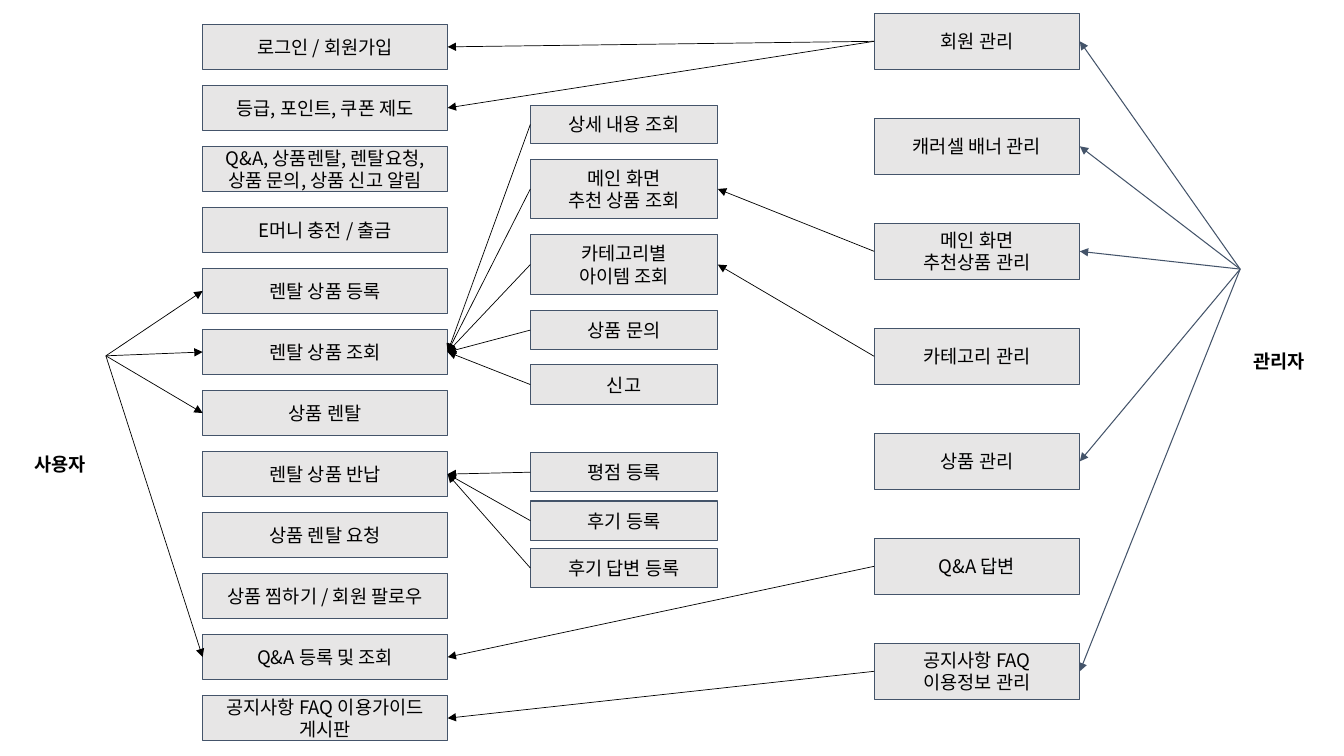
from dataclasses import dataclass

from lxml import etree
from pptx import Presentation
from pptx.dml.color import RGBColor
from pptx.enum.shapes import MSO_CONNECTOR, MSO_SHAPE
from pptx.enum.text import MSO_ANCHOR, PP_ALIGN
from pptx.oxml.ns import qn
from pptx.util import Inches, Pt

RECT = MSO_SHAPE.RECTANGLE
LINE = MSO_CONNECTOR.STRAIGHT
TOP, MIDDLE = MSO_ANCHOR.TOP, MSO_ANCHOR.MIDDLE
LEFT, CENTER = PP_ALIGN.LEFT, PP_ALIGN.CENTER
WEST, EAST = 1, 3  # connection sites of a rectangle


@dataclass
class Theme:
    font: str = "Noto Sans CJK KR"
    size: float = 13.3
    ink: RGBColor = RGBColor(0, 0, 0)
    navy: RGBColor = RGBColor(0x44, 0x54, 0x6A)
    gray: RGBColor = RGBColor(0xE7, 0xE6, 0xE6)
    thin: float = 0.5
    edge: float = 0.75


theme = Theme()


def write(shape, text, align=CENTER, anchor=MIDDLE, bold=False):
    frame = shape.text_frame
    pad = Inches(0.13)
    look = dict(word_wrap=True, vertical_anchor=anchor, margin_left=pad,
                margin_right=pad, margin_top=pad, margin_bottom=pad)
    for key, value in look.items():
        setattr(frame, key, value)
    frame.text = text
    for para in frame.paragraphs:
        para.alignment = align
        for run in para.runs:
            font = run.font
            for key, value in dict(name=theme.font, size=Pt(theme.size), bold=bold).items():
                setattr(font, key, value)
            font.color.rgb = theme.ink
            # Hangul takes its typeface from the East Asian slot
            east = etree.SubElement(run._r.get_or_add_rPr(), qn("a:ea"))
            east.set("typeface", theme.font)


def arrow(start, box, site, color, width):
    """Point an arrow at a box side, from an (x, y) spot or a box's left side."""
    line = slide.shapes.add_connector(LINE, 0, 0, 0, 0)
    if isinstance(start, tuple):
        line.begin_x, line.begin_y = Inches(start[0]), Inches(start[1])
    else:
        line.begin_connect(start, WEST)
    line.end_connect(box, site)
    line.line.color.rgb = color
    line.line.width = Pt(width)
    etree.SubElement(line.line._get_or_add_ln(), qn("a:tailEnd")).set("type", "triangle")
    etree.SubElement(line._element.spPr, qn("a:effectLst"))


deck = Presentation()
deck.slide_width, deck.slide_height = Inches(13.33), Inches(7.5)
slide = deck.slides.add_slide(deck.slide_layouts[6])

# Actor names
for text, x, y, w, h, align in [
    ("사용자", 0.21, 4.38, 0.9, 0.44, LEFT),
    ("관리자", 11.96, 3.36, 1.46, 0.36, CENTER),
]:
    area = slide.shapes.add_textbox(Inches(x), Inches(y), Inches(w), Inches(h))
    write(area, text, align, TOP, True)

# Box columns: left, width, then (text, top, height) rows
user = [
    "로그인 / 회원가입", "등급, 포인트, 쿠폰 제도",
    "Q&A, 상품렌탈, 렌탈요청, 상품 문의, 상품 신고 알림",
    "E머니 충전 / 출금", "렌탈 상품 등록", "렌탈 상품 조회", "상품 렌탈",
    "렌탈 상품 반납", "상품 렌탈 요청", "상품 찜하기 / 회원 팔로우",
    "Q&A 등록 및 조회", "공지사항 FAQ 이용가이드 게시판",
]
admin = [
    "회원 관리", "캐러셀 배너 관리", "메인 화면\n추천상품 관리", "카테고리 관리",
    "상품 관리", "Q&A 답변", "공지사항 FAQ 이용정보 관리",
]
detail = [
    ("상세 내용 조회", 1.05, 0.37), ("메인 화면\n추천 상품 조회", 1.58, 0.59),
    ("카테고리별\n아이템 조회", 2.33, 0.59), ("상품 문의", 3.08, 0.39),
    ("신고", 3.62, 0.39), ("평점 등록", 4.49, 0.39),
    ("후기 등록", 4.97, 0.39), ("후기 답변 등록", 5.44, 0.39),
]
columns = {
    "user": (2.01, 2.43, [(t, 0.24 + i * 6.66 / 11, 0.45) for i, t in enumerate(user)]),
    "detail": (5.26, 1.86, detail),
    "admin": (8.67, 2.04, [(t, 0.13 + i * 6.25 / 6, 0.56) for i, t in enumerate(admin)]),
}
boxes = {}
for name, (x, w, rows) in columns.items():
    boxes[name] = []
    for text, y, h in rows:
        box = slide.shapes.add_shape(RECT, Inches(x), Inches(y), Inches(w), Inches(h))
        box.shadow.inherit = False
        box.fill.solid()
        box.fill.fore_color.rgb = theme.gray
        box.line.color.rgb = theme.navy
        box.line.width = Pt(theme.edge)
        write(box, text)
        boxes[name].append(box)

# Fans from each actor
for spot, name, picks, site, color, width in [
    ((1.05, 3.53), "user", (4, 5, 6, 10), WEST, theme.ink, theme.thin),
    ((12.3, 2.67), "admin", (0, 1, 2, 4, 6), EAST, theme.navy, theme.edge),
]:
    for i in picks:
        arrow(spot, boxes[name][i], site, color, width)

# Links between columns: source and target row numbers
links = {
    ("detail", "user"): [(0, 5), (1, 5), (2, 5), (3, 5), (4, 5), (5, 7), (6, 7), (7, 7)],
    ("admin", "user"): [(0, 0), (0, 1), (5, 10), (6, 11)],
    ("admin", "detail"): [(2, 1), (3, 2)],
}
for (source, target), pairs in links.items():
    for i, j in pairs:
        arrow(boxes[source][i], boxes[target][j], EAST, theme.ink, theme.thin)

deck.save("out.pptx")
